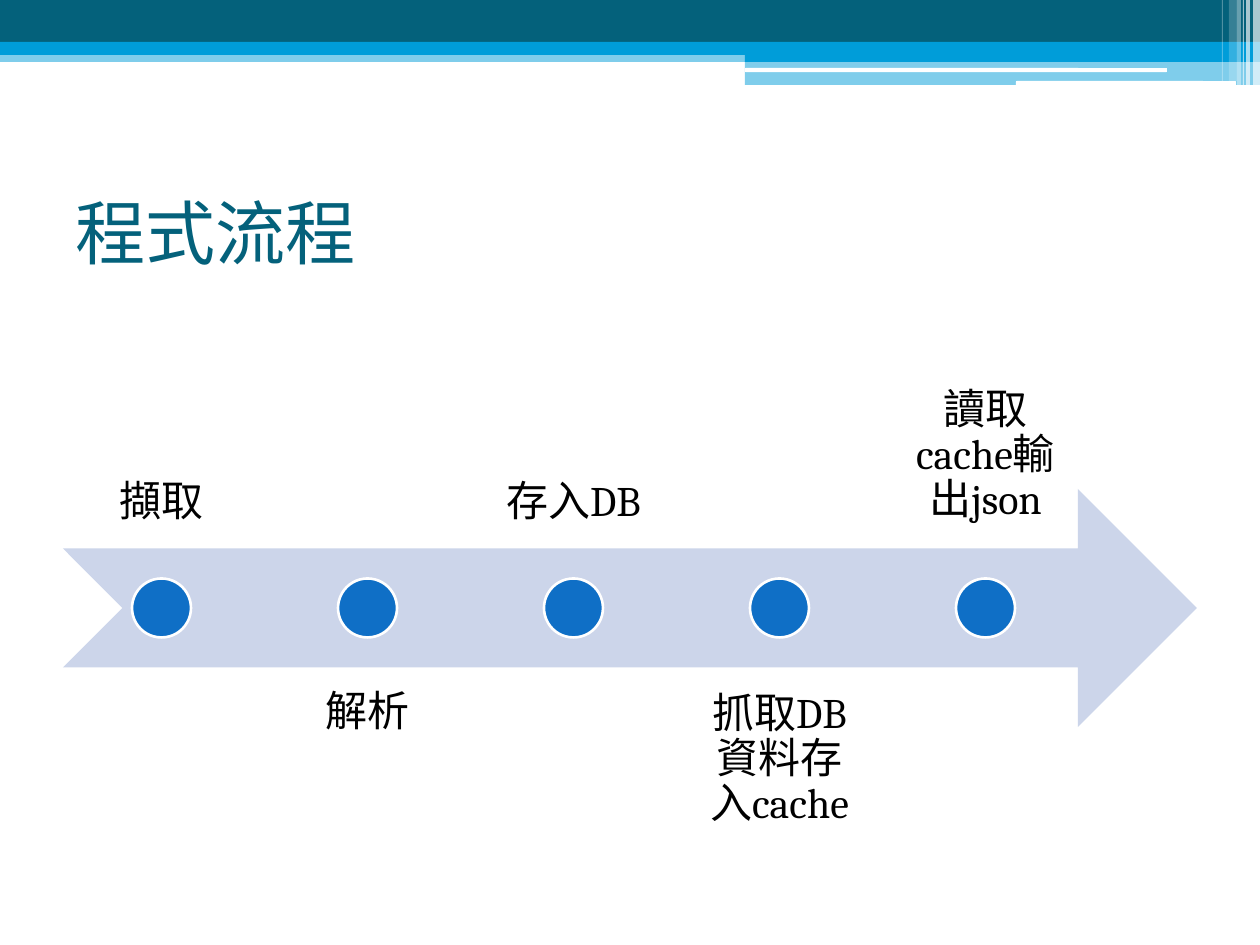
import pptx
import pptx.util
import pptx.dml.color
import pptx.enum.shapes
import pptx.enum.text
import lxml.etree

SHAPE = pptx.enum.shapes.MSO_SHAPE
ANCHOR = pptx.enum.text.MSO_ANCHOR
ALIGN = pptx.enum.text.PP_ALIGN

TITLE = "程式流程"
STEPS = ["擷取", "解析", "存入DB", "抓取DB資料存入cache", "讀取cache輸出json"]

THEME = {
    "font": "Cambria", "title_size": 40, "step_size": 24, "outline": 1.5,
    "dark": "04617B", "bright": "009DD9", "white": "FFFFFF",
    "arrow": "CCD5EA", "dot": "0F6FC6", "text": "000000",
}

# left, top, width, height, colour, opacity in percent
BANDS = [
    (0, 50, 1260, 12, "bright", 50),
    (0, 0, 1260, 42, "dark", 100),
    (0, 42, 1260, 13, "bright", 100),
    (745, 49, 515, 13, "bright", 100),
    (745, 61, 515, 24, "bright", 50),
]
RULES = [
    (745, 68, 422, 4, "white", 100),
    (1016, 81, 220, 5, "white", 100),
]
# left, width, height, opacity in percent
STRIPES = [
    (1253, 7, 85, 65), (1246, 4, 85, 65), (1243, 1, 85, 60),
    (1237, 4, 85, 40), (1229, 8, 81, 20), (1222, 1, 81, 30),
]

SLIDE_SIZE = (1260, 945)
SCALE = 914400 / 126
TITLE_BOX = (63, 158, 1134, 147)
ARROW_BOX = (63, 489, 1134, 238)
STEP_PITCH, LABEL_WIDTH, DOT_SIZE, LABEL_INSET = 206, 197, 59, 24
LABEL_TOPS = (310, 668)


def emu(pixels):
    """Turn pixels into EMU."""
    return pptx.util.Emu(round(pixels * SCALE))


def set_values(target, values):
    """Set attributes from a dict of format values."""
    for name, value in values.items():
        setattr(target, name, value)


def rgb(colour):
    """Look up a theme colour."""
    return pptx.dml.color.RGBColor.from_string(THEME[colour])


def add_shape(slide, kind, box, colour, opacity=100, outline=None):
    """Add a flat preset shape with optional transparency and outline."""
    shape = slide.shapes.add_shape(kind, *map(emu, box))
    shape.shadow.inherit = False
    shape.fill.solid()
    shape.fill.fore_color.rgb = rgb(colour)
    if opacity < 100:
        colour_element = shape.fill._xPr.find(".//" + pptx.oxml.ns.qn("a:srgbClr"))
        alpha = lxml.etree.SubElement(colour_element, pptx.oxml.ns.qn("a:alpha"))
        alpha.set("val", str(opacity * 1000))
    if outline:
        shape.line.color.rgb = rgb(outline)
        shape.line.width = pptx.util.Pt(THEME["outline"])
    else:
        shape.line.fill.background()
    return shape


def add_text(slide, box, text, size, colour, frame_values, paragraph_values):
    """Add a wrapped one-paragraph text box."""
    frame = slide.shapes.add_textbox(*map(emu, box)).text_frame
    set_values(frame, {"word_wrap": True, **frame_values})
    paragraph = frame.paragraphs[0]
    set_values(paragraph, paragraph_values)
    run = paragraph.add_run()
    run.text = text
    set_values(run.font, {"name": THEME["font"], "size": pptx.util.Pt(THEME[size])})
    run.font.color.rgb = rgb(colour)


def add_header(slide):
    """Draw the bands, rules and stripes along the top edge."""
    for *box, colour, opacity in BANDS:
        add_shape(slide, SHAPE.RECTANGLE, box, colour, opacity)
    for *box, colour, opacity in RULES:
        add_shape(slide, SHAPE.ROUNDED_RECTANGLE, box, colour, opacity)
    for left, width, height, opacity in STRIPES:
        add_shape(slide, SHAPE.RECTANGLE, (left, 0, width, height), "white", opacity)


def add_process(slide):
    """Draw the arrow with dots and labels alternating above and below."""
    left, top, _, height = ARROW_BOX
    add_shape(slide, SHAPE.NOTCHED_RIGHT_ARROW, ARROW_BOX, "arrow")
    insets = {"margin_" + side: emu(LABEL_INSET)
              for side in ("left", "top", "right", "bottom")}
    for index, step in enumerate(STEPS):
        below = index % 2
        step_left = left + index * STEP_PITCH
        anchor = ANCHOR.TOP if below else ANCHOR.BOTTOM
        add_text(slide, (step_left, LABEL_TOPS[below], LABEL_WIDTH, height), step,
                 "step_size", "text", {"vertical_anchor": anchor, **insets},
                 {"alignment": ALIGN.CENTER, "line_spacing": 0.9})
        dot_box = (step_left + (LABEL_WIDTH - DOT_SIZE) / 2,
                   top + (height - DOT_SIZE) / 2, DOT_SIZE, DOT_SIZE)
        add_shape(slide, SHAPE.OVAL, dot_box, "dot", outline="white")


def main():
    """Build and save the slide."""
    presentation = pptx.Presentation()
    width, height = map(emu, SLIDE_SIZE)
    set_values(presentation, {"slide_width": width, "slide_height": height})
    slide = presentation.slides.add_slide(presentation.slide_layouts[6])
    add_header(slide)
    add_text(slide, TITLE_BOX, TITLE, "title_size", "dark",
             {"vertical_anchor": ANCHOR.MIDDLE}, {"alignment": ALIGN.LEFT})
    add_process(slide)
    presentation.save("out.pptx")


main()
